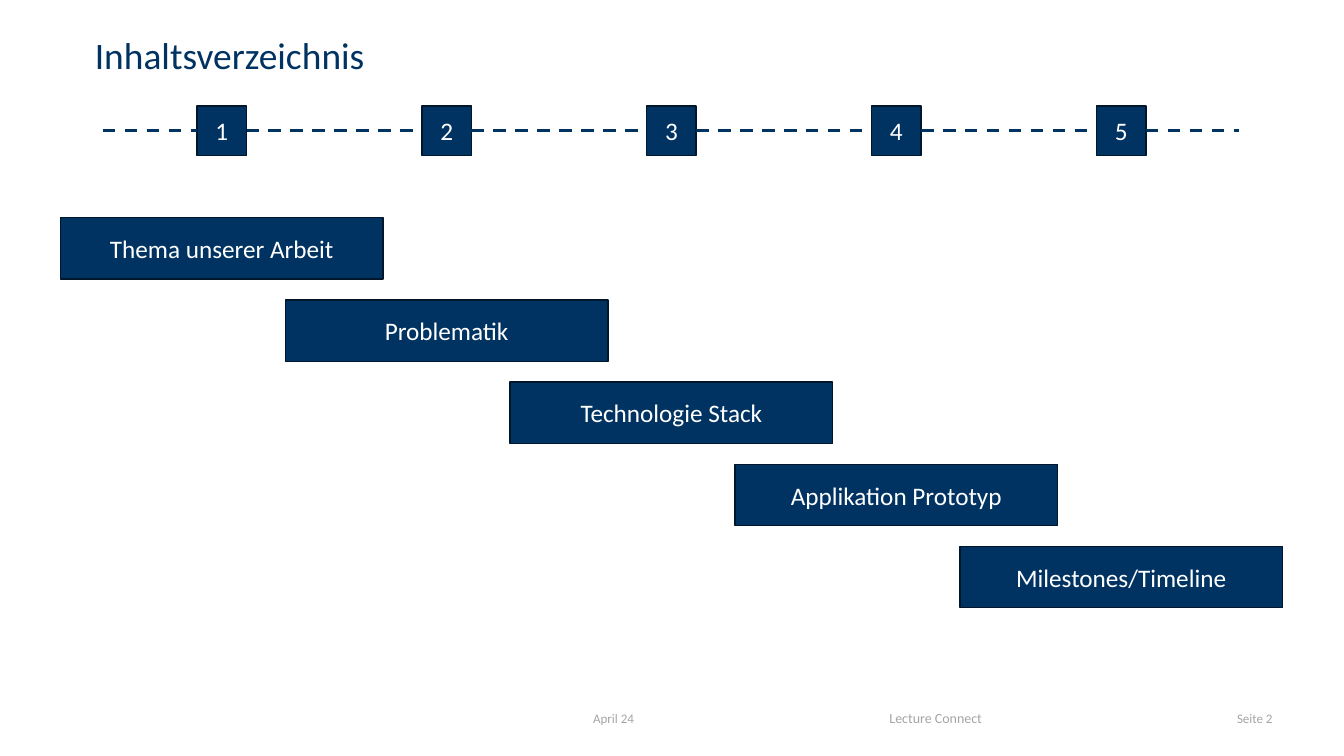
from pptx import Presentation
from pptx.dml.color import RGBColor
from pptx.enum.dml import MSO_LINE
from pptx.enum.shapes import MSO_CONNECTOR, MSO_SHAPE
from pptx.enum.text import MSO_ANCHOR, MSO_AUTO_SIZE, PP_ALIGN
from pptx.oxml.ns import qn
from pptx.util import Inches, Pt

RECTANGLE = MSO_SHAPE.RECTANGLE
STRAIGHT = MSO_CONNECTOR.STRAIGHT
DASH = MSO_LINE.DASH
MIDDLE, BOTTOM = MSO_ANCHOR.MIDDLE, MSO_ANCHOR.BOTTOM
LEFT, CENTER, RIGHT = PP_ALIGN.LEFT, PP_ALIGN.CENTER, PP_ALIGN.RIGHT
NO_AUTOFIT = MSO_AUTO_SIZE.NONE
LEFT_SIDE, RIGHT_SIDE = 1, 3

FONT = "Calibri"
NAVY, DARK_EDGE, WHITE, GREY = "003361", "00162B", "FFFFFF", "A5A5A5"

TOPICS = [
    "Thema unserer Arbeit",
    "Problematik",
    "Technologie Stack",
    "Applikation Prototyp",
    "Milestones/Timeline",
]
FOOTERS = [
    ("April 24", 5.37, 1.43, 9.3, CENTER),
    ("Lecture Connect", 7.03, 4.5, 10, CENTER),
    ("Seite 2", 11.75, 0.97, 9.3, RIGHT),
]

FIRST_CENTER, COLUMN = 2.2, 2.23
FIRST_ROW, ROW = 2.16, 0.815
TOPIC_WIDTH, TOPIC_HEIGHT = 3.2, 0.61
BADGE, BADGE_TOP = 0.49, 1.05
AXIS_START, AXIS_END, AXIS_Y = 1.02, 12.29, BADGE_TOP + BADGE / 2


def color(hex_code):
    return RGBColor.from_string(hex_code)


def write(shape, text, size, ink, align, anchor=MIDDLE):
    frame = shape.text_frame
    frame.text = text
    frame.word_wrap = True
    frame.auto_size = NO_AUTOFIT
    frame.vertical_anchor = anchor
    paragraph = frame.paragraphs[0]
    paragraph.alignment = align
    font = paragraph.runs[0].font
    font.name = FONT
    font.size = Pt(size)
    font.color.rgb = color(ink)


def add_heading(slide, text):
    heading = slide.shapes.title
    heading.left, heading.top = Inches(0.84), Inches(0.3)
    heading.width, heading.height = Inches(11.88), Inches(0.52)
    write(heading, text, 26.7, NAVY, LEFT, BOTTOM)
    heading.text_frame.paragraphs[0].line_spacing = 0.9


def add_box(slide, text, center, top, width, height):
    box = slide.shapes.add_shape(
        RECTANGLE, Inches(center - width / 2), Inches(top), Inches(width), Inches(height)
    )
    box.shadow.inherit = False
    box.fill.solid()
    box.fill.fore_color.rgb = color(NAVY)
    box.line.color.rgb = color(DARK_EDGE)
    box.line.width = Pt(1)
    write(box, text, 18, WHITE, CENTER)
    return box


def add_dashes(slide, before, after):
    y = Inches(AXIS_Y)
    dashes = slide.shapes.add_connector(STRAIGHT, Inches(AXIS_START), y, Inches(AXIS_END), y)
    if before is not None:
        dashes.begin_connect(before, RIGHT_SIDE)
    if after is not None:
        dashes.end_connect(after, LEFT_SIDE)
    dashes.line.color.rgb = color(NAVY)
    dashes.line.width = Pt(2.25)
    dashes.line.dash_style = DASH
    properties = dashes._element.spPr
    properties.append(properties.makeelement(qn("a:effectLst"), {}))


def add_footer(slide, text, left, width, size, align):
    footer = slide.shapes.add_textbox(Inches(left), Inches(6.95), Inches(width), Inches(0.35))
    write(footer, text, size, GREY, align)


def main():
    deck = Presentation()
    deck.slide_width, deck.slide_height = Inches(13.33), Inches(7.5)
    slide = deck.slides.add_slide(deck.slide_layouts[5])

    add_heading(slide, "Inhaltsverzeichnis")
    for footer in FOOTERS:
        add_footer(slide, *footer)

    badges = []
    for index, topic in enumerate(TOPICS):
        center = FIRST_CENTER + index * COLUMN
        add_box(slide, topic, center, FIRST_ROW + index * ROW, TOPIC_WIDTH, TOPIC_HEIGHT)
        badges.append(add_box(slide, str(index + 1), center, BADGE_TOP, BADGE, BADGE))

    for before, after in zip([None, *badges], [*badges, None]):
        add_dashes(slide, before, after)

    deck.save("out.pptx")


if __name__ == "__main__":
    main()
